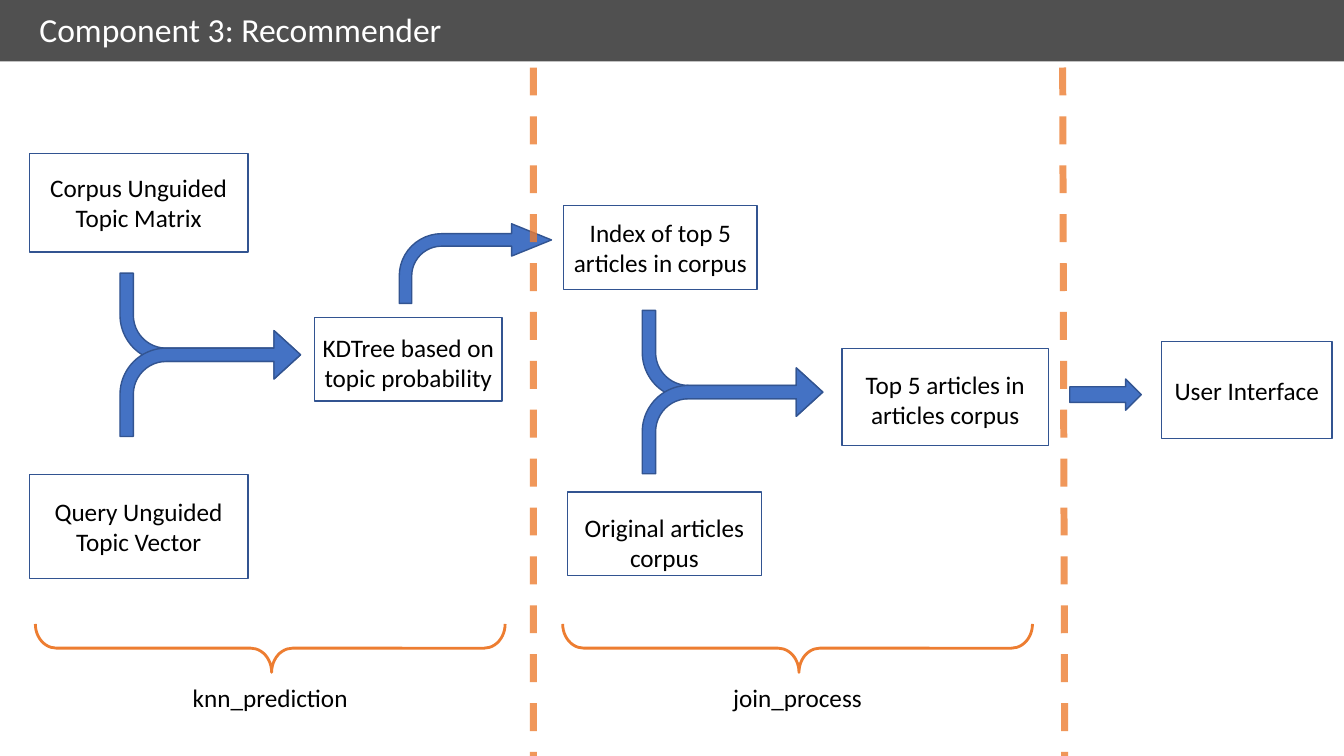
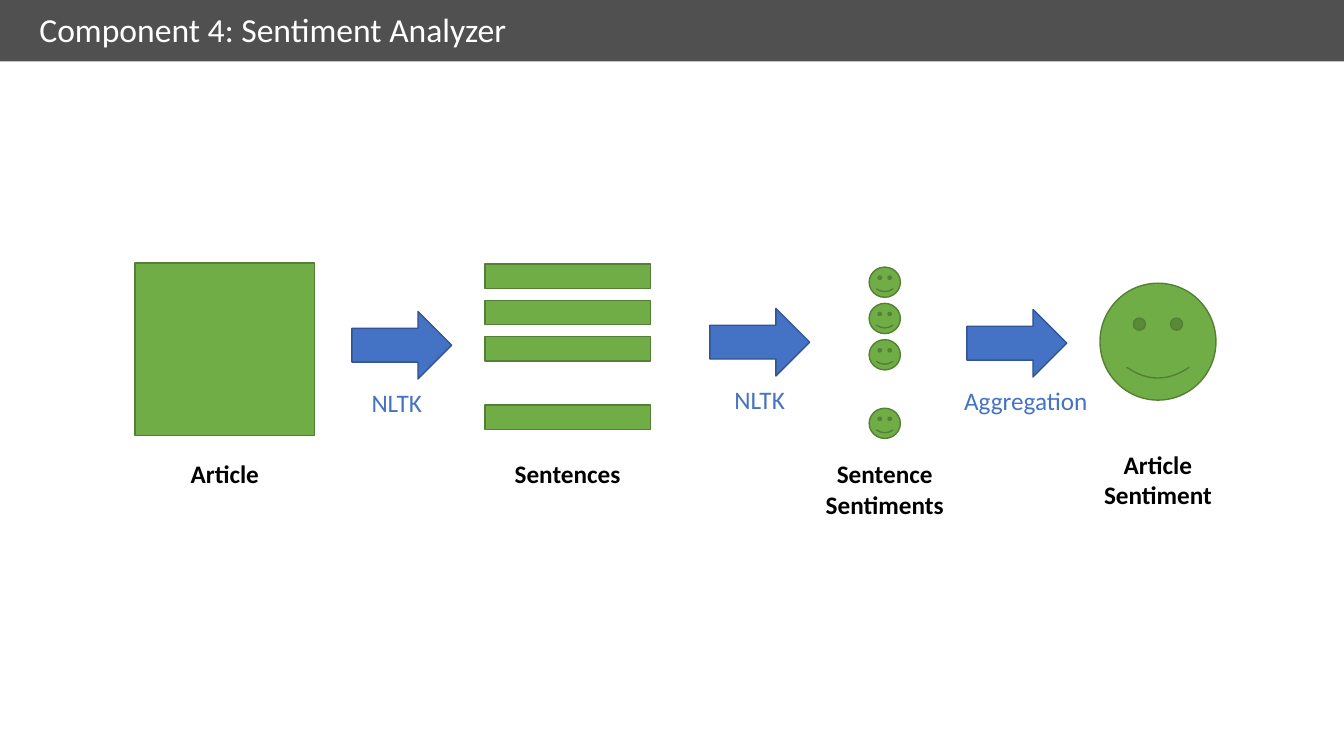
from dataclasses import dataclass
from typing import NamedTuple

from lxml.etree import SubElement
from pptx import Presentation
from pptx.dml.color import RGBColor
from pptx.enum.dml import MSO_LINE
from pptx.enum.shapes import MSO_CONNECTOR, MSO_SHAPE
from pptx.enum.text import MSO_ANCHOR, MSO_AUTO_SIZE, PP_ALIGN
from pptx.oxml.ns import qn
from pptx.util import Inches, Pt


@dataclass(frozen=True)
class Theme:
    font: str = "Calibri"
    title_size: int = 24
    body_size: int = 18
    band: str = "505050"
    white: str = "FFFFFF"
    black: str = "000000"
    blue: str = "4472C4"
    blue_edge: str = "325491"
    green: str = "70AD47"
    green_edge: str = "538035"
    orange: str = "ED7D31"
    outline: float = 1
    brace_line: float = 2
    divider_line: float = 5
    divider_opacity: int = 80


class Box(NamedTuple):
    left: float
    top: float
    width: float
    height: float

    def inches(self):
        return [Inches(length) for length in self]


THEME = Theme()
SLIDE = Box(0, 0, 13.33, 7.5)
BAND = Box(0, 0, 13.33, 0.61)
TITLE = Box(0.29, 0.07, 12.75, 0.48)
TITLE_ONLY_LAYOUT = 5


def write(frame, text, size=THEME.body_size, color=THEME.black, bold=False,
          align=PP_ALIGN.CENTER, anchor=MSO_ANCHOR.TOP, line_spacing=None):
    frame.word_wrap = True
    frame.auto_size = MSO_AUTO_SIZE.NONE
    frame.vertical_anchor = anchor
    for index, line in enumerate(text.split("\n")):
        para = frame.add_paragraph() if index else frame.paragraphs[0]
        para.alignment = align
        para.line_spacing = line_spacing
        span = para.add_run()
        span.text = line
        span.font.name = THEME.font
        span.font.size = Pt(size)
        span.font.bold = bold
        span.font.color.rgb = RGBColor.from_string(color)


def add_label(page, box, text, **text_format):
    label = page.shapes.add_textbox(*box.inches())
    write(label.text_frame, text, **text_format)


def draw(page, kind, box, fill=None, edge=None, weight=THEME.outline):
    shape = page.shapes.add_shape(kind, *box.inches())
    shape.shadow.inherit = False
    if fill:
        shape.fill.solid()
        shape.fill.fore_color.rgb = RGBColor.from_string(fill)
    else:
        shape.fill.background()
    if edge:
        shape.line.color.rgb = RGBColor.from_string(edge)
        shape.line.width = Pt(weight)
    else:
        shape.line.fill.background()
    return shape


def adjust(shape, *values):
    for index, value in enumerate(values):
        shape.adjustments[index] = value


def blue_arrow(page, kind, box):
    return draw(page, kind, box, THEME.blue, THEME.blue_edge)


def flow_box(page, box, text, text_drop=0):
    shape = draw(page, MSO_SHAPE.RECTANGLE, box, edge=THEME.blue_edge)
    frame = shape.text_frame
    frame.margin_left = frame.margin_right = Inches(0.05)
    frame.margin_top, frame.margin_bottom = Inches(2 * text_drop), 0
    write(frame, text, anchor=MSO_ANCHOR.MIDDLE)


def merge_arrows(page, box):
    arm_height = 1.05
    upper_box = box._replace(height=arm_height)
    lower_box = upper_box._replace(top=box.top + box.height - arm_height)
    for arm_box, flipped in ((upper_box, True), (lower_box, False)):
        arm = blue_arrow(page, MSO_SHAPE.BENT_ARROW, arm_box)
        adjust(arm, 0.126, 0.228, 0.25, 0.438)
        if flipped:
            arm.element.spPr.find(qn("a:xfrm")).set("flipV", "1")


def divider(page, top_x, bottom_x):
    line = page.shapes.add_connector(
        MSO_CONNECTOR.STRAIGHT, Inches(top_x), Inches(0.67),
        Inches(bottom_x), Inches(SLIDE.height))
    line.line.width = Pt(THEME.divider_line)
    line.line.dash_style = MSO_LINE.DASH
    line.line.color.rgb = RGBColor.from_string(THEME.orange)
    properties = line.element.spPr
    color = properties.find(".//" + qn("a:srgbClr"))
    SubElement(color, qn("a:alpha"), val=str(THEME.divider_opacity * 1000))
    SubElement(properties, qn("a:effectLst"))


def stage_brace(page, box, text):
    center_x = box.left + box.width / 2
    center_y = box.top + box.height / 2
    upright = Box(center_x - box.height / 2, center_y - box.width / 2,
                  box.height, box.width)
    brace = draw(page, MSO_SHAPE.RIGHT_BRACE, upright,
                 edge=THEME.orange, weight=THEME.brace_line)
    brace.rotation = 90
    adjust(brace, 0.434, 0.497)
    add_label(page, Box(center_x - 1.3, box.top + box.height + 0.05, 2.6, 0.4), text)


def stage(page, box, kind, caption, caption_gap, offsets=(0,)):
    item_height = box.height - offsets[-1]
    for offset in offsets:
        item = box._replace(top=box.top + offset, height=item_height)
        draw(page, kind, item, THEME.green, THEME.green_edge)
    caption_box = Box(box.left + box.width / 2 - 1,
                      box.top + box.height + caption_gap, 2, 0.71)
    add_label(page, caption_box, caption, bold=True)


def step_arrow(page, box, text, label_shift=0):
    blue_arrow(page, MSO_SHAPE.RIGHT_ARROW, box)
    label_left = box.left + box.width / 2 + label_shift - 0.75
    add_label(page, Box(label_left, box.top + box.height + 0.03, 1.5, 0.4),
              text, color=THEME.blue)


def share_band(layout, page):
    band = draw(page, MSO_SHAPE.RECTANGLE, BAND, fill=THEME.band)
    band.element.nvSpPr.cNvPr.set("id", "100")
    layout.shapes.element.insert(2, band.element)
    title = layout.placeholders[0]
    title.left, title.top, title.width, title.height = TITLE.inches()


def titled_page(deck, title):
    layout = deck.slide_layouts[TITLE_ONLY_LAYOUT]
    page = deck.slides.add_slide(layout)
    if len(deck.slides) == 1:
        share_band(layout, page)
    write(page.shapes.title.text_frame, title, size=THEME.title_size,
          color=THEME.white, align=PP_ALIGN.LEFT, anchor=MSO_ANCHOR.MIDDLE,
          line_spacing=0.9)
    return page


def recommender_page(deck):
    page = titled_page(deck, "Component 3: Recommender")
    flow_box(page, Box(0.29, 1.52, 2.17, 0.98), "Corpus Unguided Topic Matrix")
    flow_box(page, Box(0.29, 4.71, 2.17, 1.03), "Query Unguided Topic Vector")
    flow_box(page, Box(3.12, 3.15, 1.86, 0.83), "KDTree based on topic probability", 0.03)
    flow_box(page, Box(5.59, 2.04, 1.92, 0.83), "Index of top 5 articles in corpus")
    flow_box(page, Box(5.63, 4.88, 1.92, 0.83), "Original articles corpus", 0.09)
    flow_box(page, Box(8.35, 3.46, 2.05, 0.96), "Top 5 articles in articles corpus", 0.02)
    flow_box(page, Box(11.52, 3.39, 1.69, 0.96), "User Interface")

    index_arrow = blue_arrow(page, MSO_SHAPE.BENT_ARROW, Box(3.96, 2.22, 1.51, 0.79))
    adjust(index_arrow, 0.157, 0.203, 0.5, 0.531)
    blue_arrow(page, MSO_SHAPE.RIGHT_ARROW, Box(10.61, 3.76, 0.71, 0.31))
    divider(page, 5.29, 5.29)
    divider(page, 10.54, 10.56)
    for left, text in ((0.35, "knn_prediction"), (5.58, "join_process")):
        stage_brace(page, Box(left, 6.19, 4.66, 0.48), text)
    for left, top in ((1.19, 2.71), (6.37, 3.08)):
        merge_arrows(page, Box(left, top, 1.79, 1.62))


def sentiment_page(deck):
    page = titled_page(deck, "Component 4: Sentiment Analyzer")
    rows = (0, 0.36, 0.72, 1.4)
    stage(page, Box(1.34, 2.61, 1.78, 1.71), MSO_SHAPE.RECTANGLE, "Article", 0.18)
    stage(page, Box(4.81, 2.62, 1.64, 1.64), MSO_SHAPE.RECTANGLE,
          "Sentences", 0.24, rows)
    stage(page, Box(8.62, 2.65, 0.31, 1.7), MSO_SHAPE.SMILEY_FACE,
          "Sentence\nSentiments", 0.15, rows)
    stage(page, Box(10.91, 2.81, 1.15, 1.16), MSO_SHAPE.SMILEY_FACE,
          "Article\nSentiment", 0.44)
    step_arrow(page, Box(3.49, 3.09, 0.99, 0.67), "NLTK", -0.05)
    step_arrow(page, Box(7.04, 3.06, 0.99, 0.67), "NLTK")
    step_arrow(page, Box(9.59, 3.07, 0.99, 0.67), "Aggregation", 0.09)


def main():
    deck = Presentation()
    deck.slide_width, deck.slide_height = Inches(SLIDE.width), Inches(SLIDE.height)
    recommender_page(deck)
    sentiment_page(deck)
    deck.save("out.pptx")


if __name__ == "__main__":
    main()
